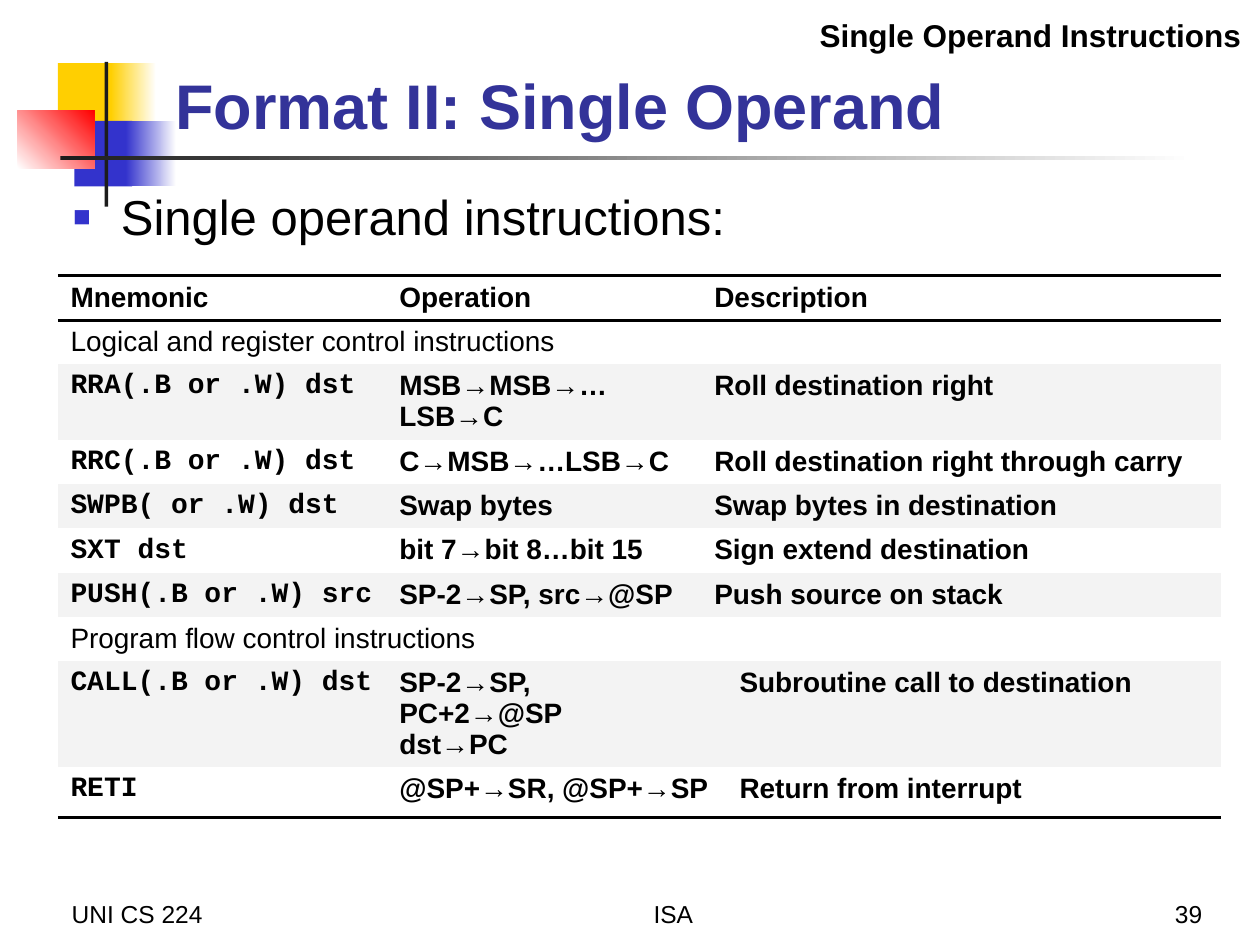
from lxml import etree
from pptx import Presentation
from pptx.dml.color import RGBColor
from pptx.enum.shapes import MSO_SHAPE
from pptx.enum.text import MSO_ANCHOR, MSO_AUTO_SIZE, PP_ALIGN
from pptx.oxml.ns import qn
from pptx.util import Inches, Pt

RECT = MSO_SHAPE.RECTANGLE
LEFT, CENTER, RIGHT, JUSTIFY = PP_ALIGN.LEFT, PP_ALIGN.CENTER, PP_ALIGN.RIGHT, PP_ALIGN.JUSTIFY
TOP, BOTTOM = MSO_ANCHOR.TOP, MSO_ANCHOR.BOTTOM
NO_AUTOFIT = MSO_AUTO_SIZE.NONE

BLACK, WHITE, DARK, BAND = "000000", "FFFFFF", "1C1C1C", "F3F3F3"
YELLOW, BLUE, RED, TITLE_BLUE = "FFCF01", "3333CC", "FF0000", "333399"
SANS, MONO = "Arial", "Courier New"

COLUMNS = [2.61, 2.5, 0.2, 3.92]
# Each row: height, first column of the description, cell texts
ROWS = [
    (0.35, 2, ["Mnemonic", "Operation", "Description"]),
    (0.35, 0, ["Logical and register control instructions"]),
    (0.6, 2, ["RRA(.B or .W) dst", "MSB→MSB→…\nLSB→C", "Roll destination right"]),
    (0.35, 2, ["RRC(.B or .W) dst", "C→MSB→…LSB→C", "Roll destination right through carry"]),
    (0.35, 2, ["SWPB( or .W) dst", "Swap bytes", "Swap bytes in destination"]),
    (0.35, 2, ["SXT dst", "bit 7→bit 8…bit 15", "Sign extend destination"]),
    (0.35, 2, ["PUSH(.B or .W) src", "SP-2→SP, src→@SP", "Push source on stack"]),
    (0.35, 0, ["Program flow control instructions"]),
    (0.84, 3, ["CALL(.B or .W) dst", "SP-2→SP,\nPC+2→@SP\ndst→PC", "Subroutine call to destination"]),
    (0.4, 3, ["RETI", "@SP+→SR, @SP+→SP", "Return from interrupt"]),
]


def rgb(color):
    return RGBColor.from_string(color)


def write(tf, text, size=14, font=SANS, color=BLACK, bold=False, align=LEFT, hanging=False):
    """Fill a text frame, one paragraph for each line of text."""
    for i, line in enumerate(text.split("\n")):
        p = tf.paragraphs[0] if i == 0 else tf.add_paragraph()
        p.alignment = align
        if hanging:
            pPr = p._p.get_or_add_pPr()
            pPr.set("marL", str(Inches(0.38)))
            pPr.set("indent", str(-Inches(0.38)))
        r = p.add_run()
        r.text = line
        r.font.size, r.font.name, r.font.bold = Pt(size), font, bold
        r.font.color.rgb = rgb(color)


def set_bullet(p, char, color, percent):
    pPr = p._p.get_or_add_pPr()
    clr = etree.SubElement(pPr, qn("a:buClr"))
    etree.SubElement(clr, qn("a:srgbClr"), val=color)
    etree.SubElement(pPr, qn("a:buSzPct"), val=str(percent * 1000))
    etree.SubElement(pPr, qn("a:buFont"), typeface=SANS)
    etree.SubElement(pPr, qn("a:buChar"), char=char)


def set_borders(cell, ruled):
    """Draw a 2 pt line on the ruled sides and clear the others."""
    tcPr = cell._tc.get_or_add_tcPr()
    for i, side in enumerate("LRTB"):
        ln = etree.Element(qn("a:ln" + side), w=str(Pt(2) if side in ruled else 0))
        if side in ruled:
            fill = etree.SubElement(ln, qn("a:solidFill"))
            etree.SubElement(fill, qn("a:srgbClr"), val=BLACK)
        else:
            etree.SubElement(ln, qn("a:noFill"))
        tcPr.insert(i, ln)


class SlideBuilder:
    def __init__(self, prs):
        self.s = prs.slides.add_slide(prs.slide_layouts[1])

    def block(self, at, start, end=None, angle=0):
        """Add a rectangle, solid or fading from start to end."""
        sp = self.s.shapes.add_shape(RECT, *map(Inches, at))
        sp.shadow.inherit = False
        sp.line.fill.background()
        if end is None:
            sp.fill.solid()
            sp.fill.fore_color.rgb = rgb(start)
            return
        sp.fill.gradient()
        sp.fill.gradient_angle = angle
        for stop, color in zip(sp.fill.gradient_stops, (start, end)):
            stop.color.rgb = rgb(color)

    def placeholder(self, index, at, text, anchor, **style):
        sp = self.s.placeholders[index]
        sp.left, sp.top, sp.width, sp.height = map(Inches, at)
        tf = sp.text_frame
        tf.auto_size, tf.vertical_anchor = NO_AUTOFIT, anchor
        write(tf, text, **style)
        return tf.paragraphs[0]

    def label(self, at, text, anchor=BOTTOM, **style):
        tf = self.s.shapes.add_textbox(*map(Inches, at)).text_frame
        tf.word_wrap, tf.vertical_anchor = True, anchor
        write(tf, text, **style)

    def table(self, left, top, columns, rows):
        height = sum(row[0] for row in rows)
        size = map(Inches, (left, top, sum(columns), height))
        table = self.s.shapes.add_table(len(rows), len(columns), *size).table
        table.first_row = table.horz_banding = False
        for col, width in zip(table.columns, columns):
            col.width = Inches(width)
        for i, (height, last, texts) in enumerate(rows):
            table.rows[i].height = Inches(height)
            self.table_row(table, i, last, texts, i == len(rows) - 1)

    def table_row(self, table, i, last, texts, is_bottom):
        header, section = i == 0, len(texts) == 1
        ruled = "TB" if header else "T" if i == 1 else "B" if is_bottom else ""
        cells = [table.cell(i, j) for j in range(len(table.columns))]
        for cell in cells:
            if i % 2 == 0 and not header:
                cell.fill.solid()
                cell.fill.fore_color.rgb = rgb(BAND)
            else:
                cell.fill.background()
            set_borders(cell, ruled)
        starts = [0] if section else [0, 1, last]
        for j, end, text in zip(starts, starts[1:] + [len(cells)], texts):
            if end - j > 1:
                cells[j].merge(cells[end - 1])
            justified = header or (j < 2 and not section)
            write(cells[j].text_frame, text, size=16, bold=not section, hanging=True,
                  font=MONO if j == 0 and not (header or section) else SANS,
                  align=JUSTIFY if justified else LEFT)


def main():
    prs = Presentation()
    prs.slide_width, prs.slide_height = Inches(10), Inches(7.5)
    b = SlideBuilder(prs)

    b.block((0.46, 0.5, 0.48, 0.52), YELLOW)
    b.block((0.88, 0.5, 0.36, 0.52), YELLOW, WHITE)
    b.block((0.59, 0.96, 0.46, 0.52), BLUE)
    b.block((1, 0.96, 0.4, 0.52), BLUE, WHITE)
    b.block((0.14, 0.88, 0.61, 0.46), WHITE, RED, angle=45)
    b.block((0.83, 0.49, 0.03, 1.15), DARK)
    b.block((0.48, 1.24, 9, 0.03), DARK, WHITE)

    b.placeholder(0, (1.29, 0.23, 8.52, 0.95), "Format II: Single Operand", BOTTOM,
                  size=36, color=TITLE_BLUE, bold=True)
    p = b.placeholder(1, (0.48, 1.48, 8.81, 1.05), "Single operand instructions:", TOP,
                      size=28, hanging=True)
    p.line_spacing, p.space_before = 0.9, Pt(5.6)
    set_bullet(p, "■", BLUE, 60)

    b.table(0.46, 2.19, COLUMNS, ROWS)

    b.label((5.93, 0.08, 4.02, 0.4), "Single Operand Instructions", TOP,
            size=18, bold=True, align=RIGHT)
    b.label((0.47, 6.92, 2.08, 0.5), "UNI CS 224")
    b.label((2.78, 6.92, 5.13, 0.5), "ISA", align=CENTER)
    b.label((7.56, 6.92, 2.08, 0.5), "39", align=RIGHT)
    prs.save("out.pptx")


if __name__ == "__main__":
    main()
